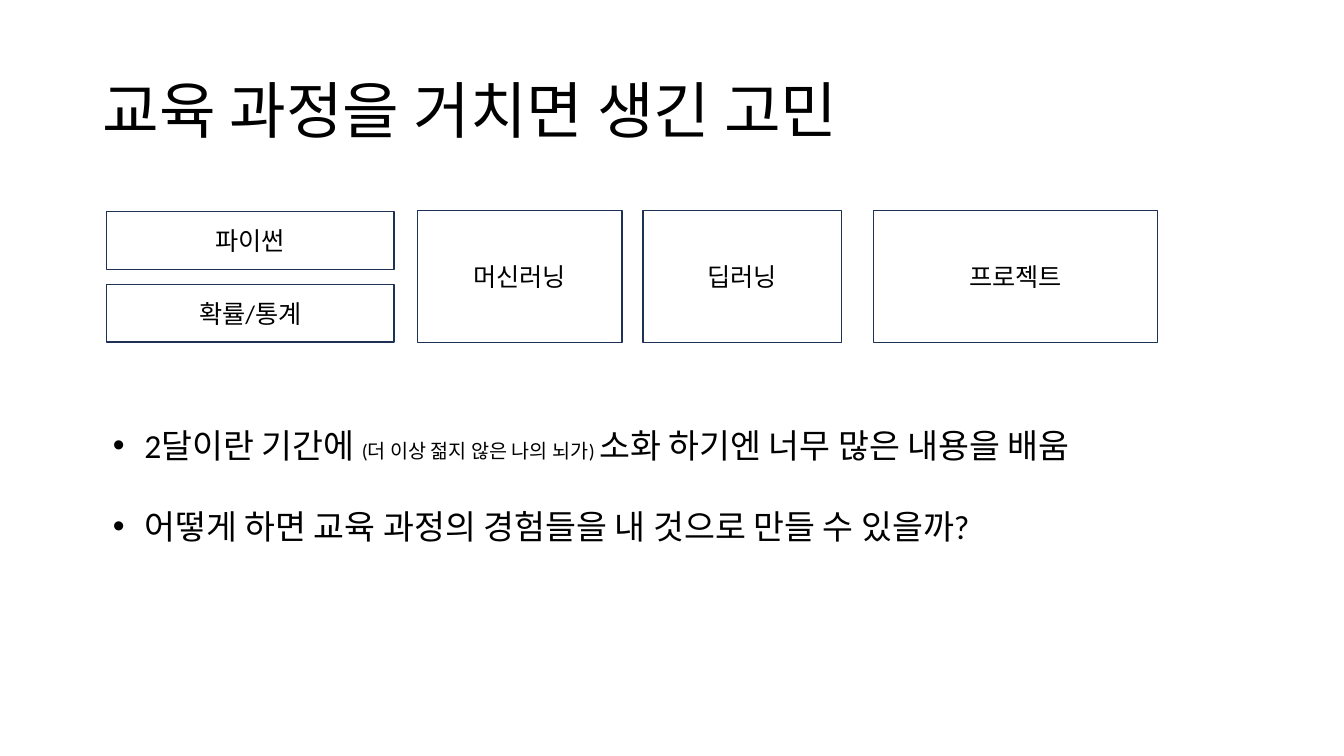
"""Build a slide on the worries raised by a training course."""
from lxml import etree
from pptx import Presentation
from pptx.dml.color import RGBColor
from pptx.enum import shapes, text
from pptx.oxml import ns
from pptx.util import Pt

HUES = {"ink": "000000", "paper": "FFFFFF", "edge": "1E3256"}


def hue(name):
    return RGBColor.from_string(HUES[name])


def style(run, size):
    run.font.name = "Calibri"
    run.font.size = Pt(size)
    run.font.color.rgb = hue("ink")


deck = Presentation()
deck.slide_width, deck.slide_height = Pt(960), Pt(540)
slide = deck.slides.add_slide(deck.slide_layouts[5])

title = slide.shapes.title
title.left, title.top, title.width, title.height = Pt(66), Pt(28.75), Pt(828), Pt(104.4)
frame = title.text_frame
frame.text = "교육 과정을 거치면 생긴 고민"
frame.auto_size = text.MSO_AUTO_SIZE.NONE
frame.vertical_anchor = text.MSO_ANCHOR.MIDDLE
head = frame.paragraphs[0]
head.alignment = text.PP_ALIGN.LEFT
head.line_spacing = 0.9
style(head.runs[0], 44)

topics = [
    ("파이썬", 76.2, 151.2, 205.2, 41.2),
    ("확률/통계", 76.2, 203.2, 205.2, 41.2),
    ("머신러닝", 298.1, 150.4, 146.2, 94.2),
    ("딥러닝", 459.2, 150.4, 142, 94.2),
    ("프로젝트", 624, 150.4, 203, 94.2),
]
for name, *place in topics:
    box = slide.shapes.add_shape(shapes.MSO_SHAPE.RECTANGLE, *map(Pt, place))
    box.shadow.inherit = False
    box.fill.solid()
    box.fill.fore_color.rgb = hue("paper")
    box.line.color.rgb = hue("edge")
    box.line.width = Pt(1)
    box.text_frame.text = name
    box.text_frame.vertical_anchor = text.MSO_ANCHOR.MIDDLE
    label = box.text_frame.paragraphs[0]
    label.alignment = text.PP_ALIGN.CENTER
    style(label.runs[0], 18)

worries = [
    [("2달이란 기간에 ", 24), ("(더 이상 젊지 않은 나의 뇌가) ", 14),
     ("소화 하기엔 너무 많은 내용을 배움", 24)],
    [("어떻게 하면 교육 과정의 경험들을 내 것으로 만들 수 있을까?", 24)],
]
notes = slide.shapes.add_textbox(Pt(73.5), Pt(300.2), Pt(762.5), Pt(94.3))
body = notes.text_frame
body.word_wrap = True
body.auto_size = text.MSO_AUTO_SIZE.SHAPE_TO_FIT_TEXT
for i, parts in enumerate(worries):
    para = body.add_paragraph() if i else body.paragraphs[0]
    para.space_before = Pt(29 * i)
    for words, size in parts:
        run = para.add_run()
        run.text = words
        style(run, size)
    props = para._p.get_or_add_pPr()
    props.set("marL", str(Pt(22.5)))
    props.set("indent", str(Pt(-22.5)))
    etree.SubElement(props, ns.qn("a:buFont"), typeface="Arial")
    etree.SubElement(props, ns.qn("a:buChar"), char="•")

deck.save("out.pptx")
